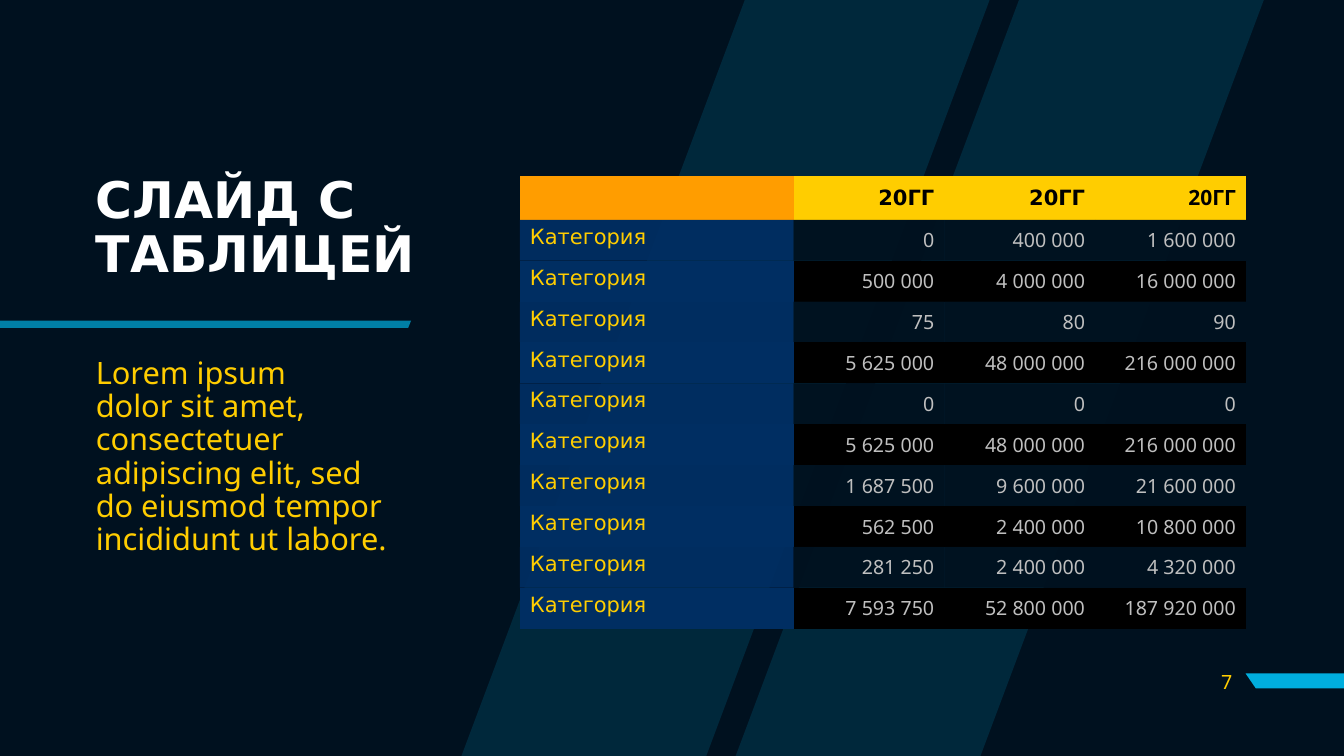
from copy import deepcopy
from dataclasses import dataclass

from pptx import Presentation
from pptx import util as u
from pptx.dml.color import RGBColor
from pptx.enum import text as t
from pptx.oxml import ns
from lxml import etree

Cm = u.Cm
WIDE, HIGH = 33.87, 19.05
NO_GRID = "{2D5ABB26-0587-4C30-8999-92F81FD0307C}"


@dataclass(frozen=True)
class Theme:
    back: str = "00111F"
    cyan: str = "00AEDE"
    white: str = "FFFFFF"
    gold: str = "FFCD00"
    amber: str = "FF9D00"
    navy: str = "002E62"
    black: str = "000000"
    gray: str = "BFBFBF"
    head: str = "DejaVu Sans"
    main: str = "Noto Sans"
    title: int = 36
    body: int = 22
    label: int = 15
    value: int = 14


THEME = Theme()

HEADS = ["20ГГ", "20ГГ", "20ГГ"]
LABEL = "Категория"
ROWS = [
    (0, 400000, 1600000),
    (500000, 4000000, 16000000),
    (75, 80, 90),
    (5625000, 48000000, 216000000),
    (0, 0, 0),
    (5625000, 48000000, 216000000),
    (1687500, 9600000, 21600000),
    (562500, 2400000, 10800000),
    (281250, 2400000, 4320000),
    (7593750, 52800000, 187920000),
]


def paint(fill, color, alpha=100):
    fill.solid()
    fill.fore_color.rgb = RGBColor.from_string(color)
    if alpha < 100:
        node = fill._xPr.find(".//" + ns.qn("a:srgbClr"))
        etree.SubElement(node, ns.qn("a:alpha")).set("val", str(alpha * 1000))


def write(frame, words, size, color, font=THEME.main, bold=False,
          align=t.PP_ALIGN.LEFT, line=None, before=None):
    """Fill a text frame with one formatted paragraph."""
    para = frame.paragraphs[0]
    para.text = words
    para.alignment = align
    if line:
        para.line_spacing = line
    if before:
        para.space_before = u.Pt(before)
    for run in para.runs:
        run.font.size = u.Pt(size)
        run.font.name = font
        run.font.bold = bold
        run.font.color.rgb = RGBColor.from_string(color)
    # Line breaks take the size of the text around them
    for gap in para._p.findall(ns.qn("a:br")):
        gap.insert(0, deepcopy(para.runs[0]._r.rPr))


def place(shape, left, top, width, height, anchor):
    shape.left, shape.top = Cm(left), Cm(top)
    shape.width, shape.height = Cm(width), Cm(height)
    frame = shape.text_frame
    frame.word_wrap = True
    frame.auto_size = t.MSO_AUTO_SIZE.NONE
    frame.vertical_anchor = anchor
    return frame


def draw(slide, *rings, alpha=100):
    """Draw one cyan outline made of closed rings."""
    pen = None
    for ring in rings:
        dots = [(Cm(x), Cm(y)) for x, y in ring]
        if pen is None:
            pen = slide.shapes.build_freeform(*dots[0])
        else:
            pen.move_to(*dots[0])
        pen.add_line_segments(dots[1:], close=True)
    shape = pen.convert_to_shape()
    shape.shadow.inherit = False
    shape.line.fill.background()
    paint(shape.fill, THEME.cyan, alpha)


def decor(slide):
    # Two slanted bands, the second one a step to the left
    band = [(25.68, 0), (18.54, HIGH), (24.71, HIGH), (31.85, 0)]
    draw(slide, band, [(x - 6.91, y) for x, y in band], alpha=15)
    # Page mark and title rule
    draw(slide, [(WIDE, 16.97), (WIDE, 17.35), (31.65, 17.35), (31.39, 16.97)])
    draw(slide, [(0, 8.08), (0, 8.26), (10.29, 8.26), (10.36, 8.08)], alpha=70)


def grid(slide):
    frame = slide.shapes.add_table(len(ROWS) + 1, len(HEADS) + 1, Cm(13.1),
                                   Cm(4.43), Cm(18.3), Cm(11.41))
    table = frame.table
    table._tbl.tblPr.find(ns.qn("a:tableStyleId")).text = NO_GRID
    for col, width in zip(table.columns, [6.9] + [3.8] * len(HEADS)):
        col.width = Cm(width)
    for row, height in zip(table.rows, [1.11] + [1.03] * len(ROWS)):
        row.height = Cm(height)

    # Header row
    paint(table.cell(0, 0).fill, THEME.amber)
    for c, name in enumerate(HEADS, 1):
        cell = table.cell(0, c)
        paint(cell.fill, THEME.gold)
        cell.vertical_anchor = t.MSO_ANCHOR.MIDDLE
        font = THEME.main if c == len(HEADS) else THEME.head
        write(cell.text_frame, name, THEME.label, THEME.black, font=font,
              bold=True, align=t.PP_ALIGN.RIGHT)

    # Category rows, banded
    for r, values in enumerate(ROWS, 1):
        odd = r % 2 == 1
        alpha = 95 if odd else 100
        cell = table.cell(r, 0)
        paint(cell.fill, THEME.navy, alpha)
        write(cell.text_frame, LABEL, THEME.label, THEME.gold, font=THEME.head)
        for c, value in enumerate(values, 1):
            cell = table.cell(r, c)
            paint(cell.fill, THEME.back if odd else THEME.black, alpha)
            cell.vertical_anchor = t.MSO_ANCHOR.MIDDLE
            write(cell.text_frame, f"{value:,}".replace(",", " "),
                  THEME.value, THEME.gray, align=t.PP_ALIGN.RIGHT)


def main():
    deck = Presentation()
    deck.slide_width, deck.slide_height = Cm(WIDE), Cm(HIGH)
    slide = deck.slides.add_slide(deck.slide_layouts[2])
    paint(slide.background.fill, THEME.back)
    decor(slide)

    # Title and text
    title, body = slide.placeholders
    frame = place(title, 2.16, 3.66, 8.69, 4.24, t.MSO_ANCHOR.MIDDLE)
    write(frame, "СЛАЙД С\nТАБЛИЦЕЙ", THEME.title, THEME.white,
          font=THEME.head, bold=True, line=0.9)
    frame = place(body, 2.16, 8.89, 7.85, 5.99, t.MSO_ANCHOR.TOP)
    write(frame, "Lorem ipsum\ndolor sit amet, consectetuer adipiscing elit, "
          "sed\ndo eiusmod tempor incididunt ut labore.",
          THEME.body, THEME.gold, line=0.9, before=10)

    grid(slide)

    # Page number
    page = slide.shapes.add_textbox(0, 0, 0, 0)
    frame = place(page, 29.79, 16.66, 1.52, 1.02, t.MSO_ANCHOR.MIDDLE)
    write(frame, "7", THEME.value, THEME.gold, align=t.PP_ALIGN.RIGHT)
    deck.save("out.pptx")


if __name__ == "__main__":
    main()
